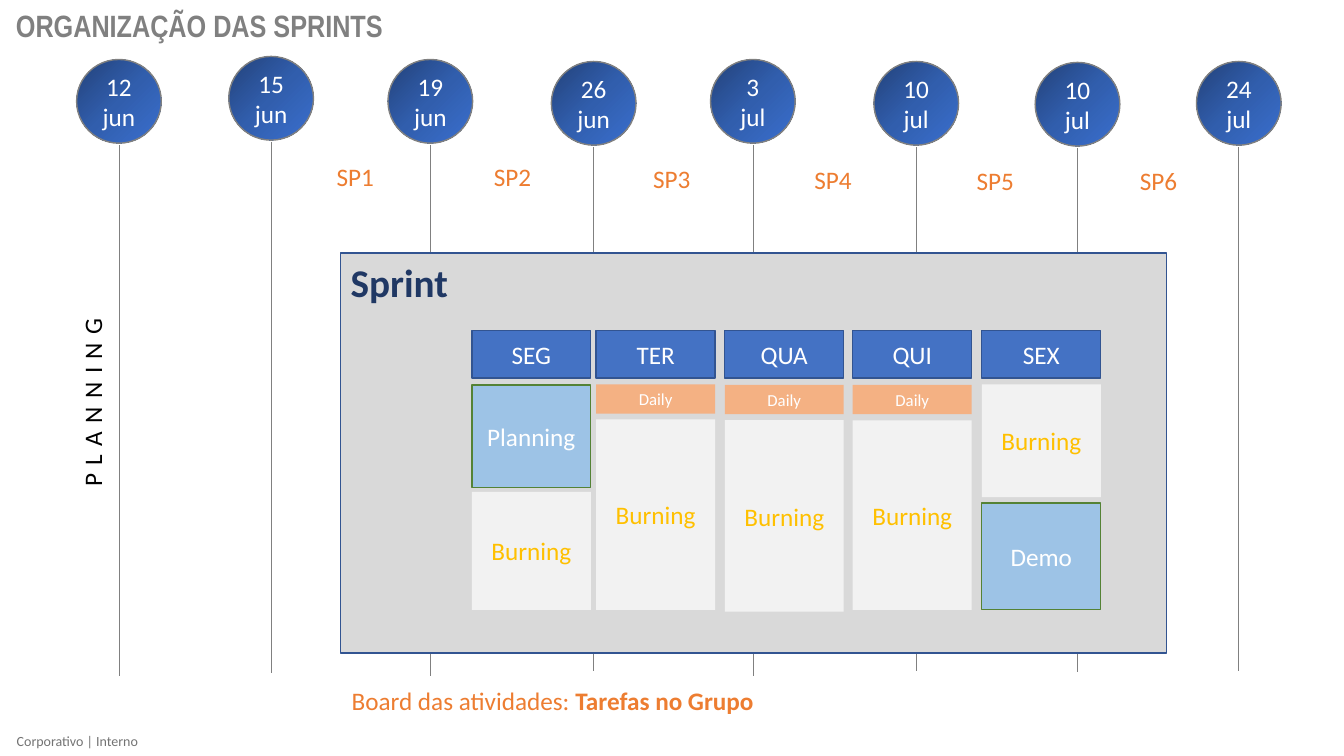
"""Build the sprint organisation slide."""
import copy

import pptx
import pptx.dml.color
import pptx.enum.shapes
import pptx.enum.text
import pptx.util
from lxml import etree

Pt = pptx.util.Pt
SHAPE = pptx.enum.shapes.MSO_SHAPE
ALIGN = pptx.enum.text.PP_ALIGN
ANCHOR = pptx.enum.text.MSO_ANCHOR
AUTO = pptx.enum.text.MSO_AUTO_SIZE

GREY, WHITE, ORANGE, NAVY_LINE = "808080", "FFFFFF", "ED7D31", "325491"
GRADIENT = ((0, "23427A"), (0.5, "315EAD"), (1, "3A6FCE"))
CIRCLE_W, CIRCLE_H = 60.5, 59.8
MILESTONES = [
    ("12\njun", 85, 42.5, 483.1),
    ("15\njun", 193.7, 40.3, 481),
    ("19\njun", 307.4, 42.5, 483.1),
    ("26\njun", 424.1, 43.9, 479.5),
    ("3\njul", 537.8, 42.5, 483.1),
    ("10\njul", 654.5, 43.9, 479.5),
    ("10\njul", 769.7, 44.6, 480.2),
    ("24\njul", 884.9, 43.9, 479.5),
]
SPRINTS = [(233.3, 111.6), (345.6, 111.6), (459.4, 113), (574.6, 113.8), (690.5, 114.5), (807.1, 114.5)]
CARD_W = 85
CARD_STYLES = {
    "Planning": ("9DC3E6", "548235", WHITE, 18),
    "Demo": ("9DC3E6", "548235", WHITE, 18),
    "Burning": ("F2F2F2", None, "FFC000", 18),
    "Daily": ("F4B183", None, WHITE, 12),
}
WEEK = [
    ("SEG", 337, [("Planning", 275, 73.4), ("Burning", 351.4, 84.2)]),
    ("TER", 425.8, [("Daily", 274.6, 20.9), ("Burning", 299.5, 136.1)]),
    ("QUA", 517.7, [("Daily", 275, 20.9), ("Burning", 300.2, 136.8)]),
    ("QUI", 609.1, [("Daily", 275, 20.9), ("Burning", 300.2, 135.4)]),
    ("SEX", 701.3, [("Burning", 274.6, 80.6), ("Demo", 359.3, 76.3)]),
]


def rgb(value):
    """Turn a hex string into a colour."""
    return pptx.dml.color.RGBColor.from_string(value)


def style_text(tf, size, color, bold=False, font="Calibri", align=None):
    """Format every run of a text frame."""
    for p in tf.paragraphs:
        p.alignment = align
        for r in p.runs:
            r.font.size, r.font.bold, r.font.name = Pt(size), bold, font
            r.font.color.rgb = rgb(color)


def add_label(s, text, x, y, w, h, size, color, wrap=False, **style):
    """Add a text box that grows with its text."""
    sp = s.shapes.add_textbox(Pt(x), Pt(y), Pt(w), Pt(h))
    tf = sp.text_frame
    tf.text = text
    tf.word_wrap = wrap
    tf.auto_size = AUTO.SHAPE_TO_FIT_TEXT
    style_text(tf, size, color, **style)
    return sp


def add_box(s, kind, text, x, y, w, h, fill, line, color, size, bold=False, centred=True):
    """Add a preset shape with text; fill may be None."""
    sp = s.shapes.add_shape(kind, Pt(x), Pt(y), Pt(w), Pt(h))
    sp.shadow.inherit = False
    if fill:
        sp.fill.solid()
        sp.fill.fore_color.rgb = rgb(fill)
    if line:
        sp.line.color.rgb = rgb(line)
        sp.line.width = Pt(1)
    else:
        sp.line.fill.background()
    tf = sp.text_frame
    tf.text = text
    tf.vertical_anchor = ANCHOR.MIDDLE if centred else ANCHOR.TOP
    style_text(tf, size, color, bold, align=ALIGN.CENTER if centred else ALIGN.LEFT)
    return sp


def add_vertical(s, x, top, bottom):
    """Add a thin vertical timeline line."""
    cx = s.shapes.add_connector(pptx.enum.shapes.MSO_CONNECTOR.STRAIGHT, Pt(x), Pt(top), Pt(x), Pt(bottom))
    cx.line.color.rgb = rgb(GREY)
    cx.line.width = Pt(0.5)
    etree.SubElement(cx._element.spPr, pptx.oxml.ns.qn("a:effectLst"))


def add_milestone(s, date, x, top, bottom):
    """Add a date circle with the line below it."""
    add_vertical(s, x, top + 61, bottom)
    sp = add_box(s, SHAPE.OVAL, date, x - CIRCLE_W / 2, top, CIRCLE_W, CIRCLE_H, None, GREY, WHITE, 18)
    sp.fill.gradient()
    sp.fill.gradient_angle = 315
    stops = sp._element.spPr.find(".//" + pptx.oxml.ns.qn("a:gsLst"))
    stops.insert(1, copy.deepcopy(stops[0]))
    for stop, (position, color) in zip(sp.fill.gradient_stops, GRADIENT):
        stop.position = position
        stop.color.rgb = rgb(color)


def add_day(s, day, x, cards):
    """Add one weekday header and its cards."""
    add_box(s, SHAPE.RECTANGLE, day, x, 236.2, CARD_W, 33.8, "4472C4", NAVY_LINE, WHITE, 18)
    for name, y, h in cards:
        add_box(s, SHAPE.RECTANGLE, name, x, y, CARD_W, h, *CARD_STYLES[name])


def add_footer(s):
    """Add the classification mark at the bottom left."""
    tf = add_label(s, "Corporativo | Interno", 0, 519, 111, 21, 10, "737373", wrap=True).text_frame
    tf.vertical_anchor = ANCHOR.MIDDLE
    tf.margin_left = Pt(12)
    tf.margin_top = tf.margin_right = tf.margin_bottom = 0


def add_board_note(s):
    """Add the note on where the activity board is kept."""
    sp = add_label(s, "Board das atividades: ", 244.1, 486, 307.4, 28.8, 18, ORANGE)
    p = sp.text_frame.paragraphs[0]
    p.add_run().text = "Tarefas no Grupo"
    style_text(sp.text_frame, 18, ORANGE)
    p.runs[1].font.bold = True


def main():
    """Build and save the slide."""
    prs = pptx.Presentation()
    prs.slide_width, prs.slide_height = Pt(960), Pt(540)
    s = prs.slides.add_slide(prs.slide_layouts[6])
    add_footer(s)
    add_label(s, "ORGANIZAÇÃO DAS SPRINTS", 4.3, 1.4, 746.6, 33.8, 22, GREY,
              wrap=True, bold=True, font="Arial Narrow")
    for milestone in MILESTONES:
        add_milestone(s, *milestone)
    planning = add_label(s, "PLANNING", -5, 269.3, 141.8, 28.8, 18, "000000")
    planning.rotation = 270
    planning.text_frame.paragraphs[0].runs[0].font._element.set("spc", "600")
    for number, (x, y) in enumerate(SPRINTS, 1):
        add_label(s, f"SP{number}", x, y, 41.8, 28.8, 18, ORANGE)
    add_box(s, SHAPE.RECTANGLE, "Sprint", 243.4, 180.7, 589.7, 285.8, "D9D9D9", NAVY_LINE,
            "203864", 28, bold=True, centred=False)
    for day in WEEK:
        add_day(s, *day)
    add_board_note(s)
    prs.save("out.pptx")


main()
